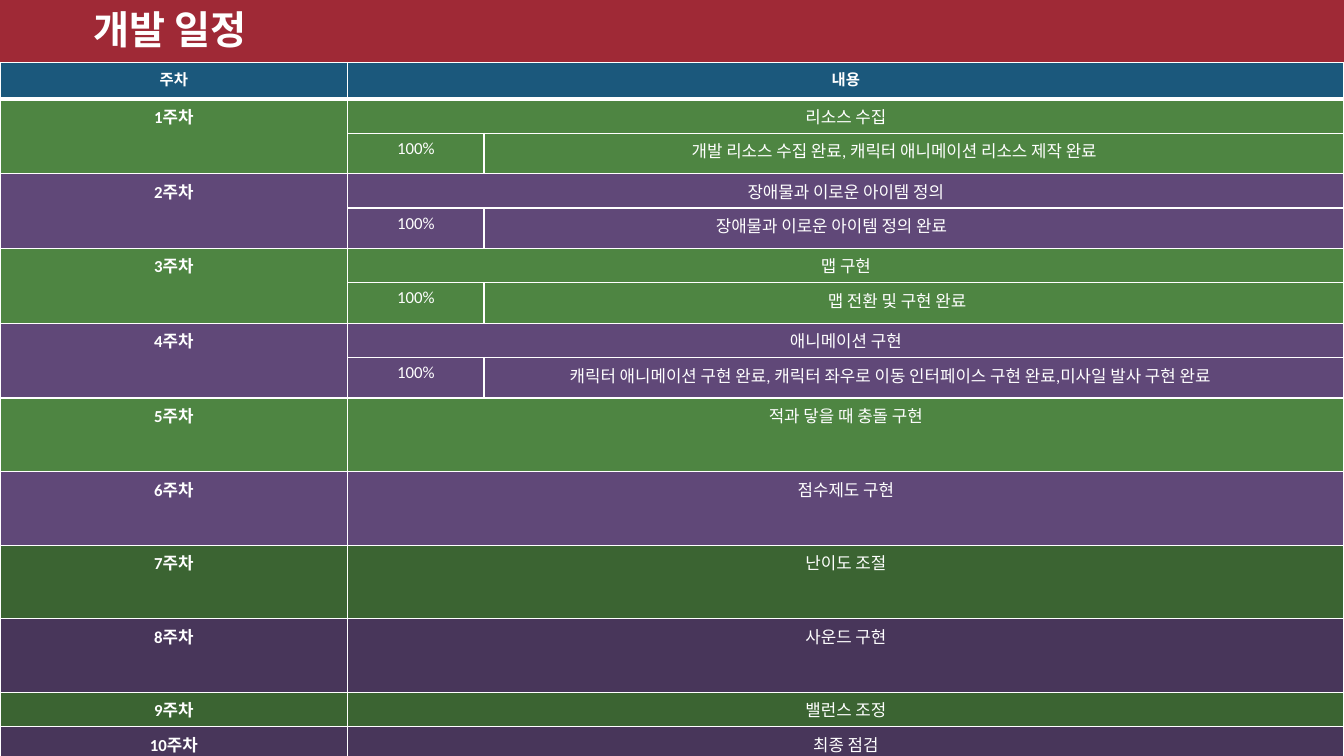
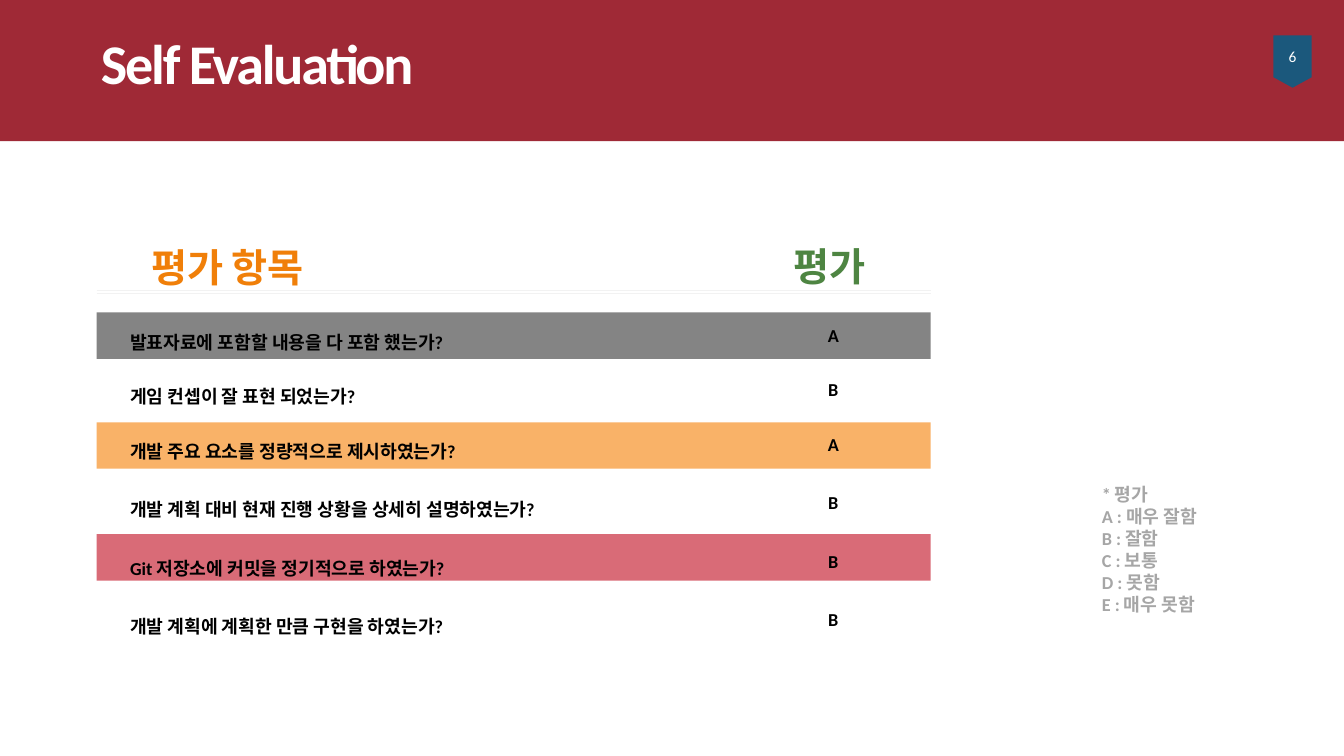
import pptx
import pptx.util
import pptx.dml.color
import pptx.enum.shapes
import pptx.enum.text
import pptx.oxml
import pptx.oxml.ns

Inches, Pt = pptx.util.Inches, pptx.util.Pt
RGBColor = pptx.dml.color.RGBColor
SHAPE = pptx.enum.shapes.MSO_SHAPE
ALIGN = pptx.enum.text.PP_ALIGN
ANCHOR = pptx.enum.text.MSO_ANCHOR
AUTO_SIZE = pptx.enum.text.MSO_AUTO_SIZE

FONT = "Calibri"
WHITE = RGBColor(0xFF, 0xFF, 0xFF)
BLACK = RGBColor(0, 0, 0)
RED = RGBColor(0x9F, 0x29, 0x36)
BLUE = RGBColor(0x1B, 0x58, 0x7C)
GREEN = RGBColor(0x4E, 0x85, 0x42)
PURPLE = RGBColor(0x60, 0x48, 0x78)
DARK_GREEN = RGBColor(0x3B, 0x64, 0x32)
DARK_PURPLE = RGBColor(0x48, 0x36, 0x5A)
ORANGE = RGBColor(0xF0, 0x7F, 0x09)
LIGHT_ORANGE = RGBColor(0xF9, 0xB2, 0x68)
PINK = RGBColor(0xD9, 0x6B, 0x77)
GRAY = RGBColor(0x84, 0x84, 0x84)
LEGEND_GRAY = RGBColor(0xA6, 0xA6, 0xA6)
RULE_GRAY = RGBColor(0xF2, 0xF2, 0xF2)

# Schedule: week, task, row height, colour, finished part (progress, detail, left margin)
HEADINGS = ("주차", "내용")
WEEKS = [
    ("1주차", "리소스 수집", 0.33, GREEN,
     ("100%", "개발 리소스 수집 완료, 캐릭터 애니메이션 리소스 제작 완료", 2.06)),
    ("2주차", "장애물과 이로운 아이템 정의", 0.33, PURPLE,
     ("100%", "장애물과 이로운 아이템 정의 완료", 2.3)),
    ("3주차", "맵 구현", 0.33, GREEN, ("100%", "맵 전환 및 구현 완료", 3.41)),
    ("4주차", "애니메이션 구현", 0.33, PURPLE,
     ("100%", "캐릭터 애니메이션 구현 완료, 캐릭터 좌우로 이동 인터페이스 구현 완료,"
      "미사일 발사 구현 완료", 0.85)),
    ("5주차", "적과 닿을 때 충돌 구현", 0.73, GREEN, None),
    ("6주차", "점수제도 구현", 0.73, PURPLE, None),
    ("7주차", "난이도 조절", 0.73, DARK_GREEN, None),
    ("8주차", "사운드 구현", 0.73, DARK_PURPLE, None),
    ("9주차", "밸런스 조정", 0.31, DARK_GREEN, None),
    ("10주차", "최종 점검", 0.37, DARK_PURPLE, None),
]
COLUMN_WIDTHS = (3.45, 1.35, 8.53)
HEADER_HEIGHT, DETAIL_HEIGHT = 0.36, 0.4

# Evaluation: each entry is a paragraph; lines in one entry are split by line breaks
QUESTIONS = [
    ("발표자료에 포함할 내용을 다 포함 했는가?", "게임 컨셉이 잘 표현 되었는가?",
     "개발 주요 요소를 정량적으로 제시하였는가?"),
    ("개발 계획 대비 현재 진행 상황을 상세히 설명하였는가?",),
    ("Git 저장소에 커밋을 정기적으로 하였는가?",),
    ("개발 계획에 계획한 만큼 구현을 하였는가?",),
]
GRADES = [("A", "B", "A"), ("B",), ("B",), ("B",)]
LEGEND = [("* 평가",), ("A : 매우 잘함",), ("B : 잘함",), ("C : 보통",),
          ("D : 못함",), ("E : 매우 못함",)]
STRIPES = [(3.1, GRAY), (4.19, LIGHT_ORANGE), (5.3, PINK)]
STRIPE_LEFT, STRIPE_WIDTH, STRIPE_HEIGHT = 0.96, 8.27, 0.46
RULE_TOPS = (2.88, 2.91)


def place(shape, left, top, width, height):
    """Move and size a shape, in inches."""
    shape.left, shape.top = Inches(left), Inches(top)
    shape.width, shape.height = Inches(width), Inches(height)


def add_span(para, text, size, color, bold=False):
    """Add one formatted run to a paragraph."""
    span = para.add_run()
    span.text = text
    span.font.name, span.font.size = FONT, Pt(size)
    span.font.bold, span.font.color.rgb = bold, color
    return span


def write_lines(box, entries, size, color, align=ALIGN.LEFT, spacing=None):
    """Write bold paragraphs without bullets, breaking lines inside each."""
    frame = box.text_frame
    frame.word_wrap = True
    frame.auto_size = AUTO_SIZE.SHAPE_TO_FIT_TEXT
    for index, lines in enumerate(entries):
        para = frame.add_paragraph() if index else frame.paragraphs[0]
        para.alignment, para.line_spacing = align, spacing
        properties = para._p.get_or_add_pPr()
        properties.set("marL", "0")
        properties.set("indent", "0")
        pptx.oxml.ns.qn("a:buNone")
        properties.append(pptx.oxml.parse_xml(
            f'<a:buNone {pptx.oxml.ns.nsdecls("a")}/>'))
        for number, line in enumerate(lines):
            if number:
                para.add_line_break()
            add_span(para, line, size, color, True)


def add_block(page, kind, at, color):
    """Add a flat preset shape without outline or shadow."""
    block = page.shapes.add_shape(kind, *map(Inches, at))
    block.shadow.inherit = False
    block.fill.solid()
    block.fill.fore_color.rgb = color
    block.line.fill.background()
    return block


def add_titled_page(deck, layout, band, title, at, size):
    """Add a page with a red band behind its title; return page and title span."""
    page = deck.slides.add_slide(deck.slide_layouts.get_by_name(layout))
    heading = page.shapes.title
    heading._element.addprevious(add_block(page, SHAPE.RECTANGLE, band, RED)._element)
    place(heading, *at)
    heading.text_frame.vertical_anchor = ANCHOR.MIDDLE
    para = heading.text_frame.paragraphs[0]
    para.alignment = ALIGN.LEFT
    return page, add_span(para, title, size, WHITE, True)


def set_borders(cell, top=1, bottom=1):
    """Give a cell white borders; widths in points."""
    properties = cell._tc.get_or_add_tcPr()
    widths = {"lnL": 1, "lnR": 1, "lnT": top, "lnB": bottom}
    for index, (side, width) in enumerate(widths.items()):
        properties.insert(index, pptx.oxml.parse_xml(
            f'<a:{side} {pptx.oxml.ns.nsdecls("a")} w="{Pt(width)}">'
            f'<a:solidFill><a:srgbClr val="{WHITE}"/></a:solidFill></a:{side}>'))


def write_cell(cell, text, size=12, bold=False, align=ALIGN.CENTER):
    """Write one line in a table cell."""
    para = cell.text_frame.paragraphs[0]
    para.alignment = align
    add_span(para, text, size, WHITE, bold)


def add_schedule(page):
    """Add the week table; finished weeks take a second row."""
    heights, colors = [HEADER_HEIGHT], [BLUE]
    for _, _, height, color, done in WEEKS:
        heights += [height, DETAIL_HEIGHT] if done else [height]
        colors += [color, color] if done else [color]
    table = page.shapes.add_table(
        len(heights), len(COLUMN_WIDTHS), 0, Inches(0.62),
        Inches(sum(COLUMN_WIDTHS)), Inches(sum(heights))).table
    for column, width in zip(table.columns, COLUMN_WIDTHS):
        column.width = Inches(width)
    for index, (height, color) in enumerate(zip(heights, colors)):
        table.rows[index].height = Inches(height)
        for cell in table.rows[index].cells:
            cell.fill.solid()
            cell.fill.fore_color.rgb = color
            set_borders(cell, 3 if index == 1 else 1, 3 if index == 0 else 1)

    table.cell(0, 1).merge(table.cell(0, 2))
    for column, heading in enumerate(HEADINGS):
        write_cell(table.cell(0, column), heading, 11, True)
    row = 1
    for week, task, _, _, done in WEEKS:
        table.cell(row, 1).merge(table.cell(row, 2))
        write_cell(table.cell(row, 0), week, bold=True)
        write_cell(table.cell(row, 1), task)
        if done:
            progress, detail, margin = done
            table.cell(row, 0).merge(table.cell(row + 1, 0))
            write_cell(table.cell(row + 1, 1), progress)
            detail_cell = table.cell(row + 1, 2)
            detail_cell.margin_left = Inches(margin)
            write_cell(detail_cell, detail, align=ALIGN.LEFT)
        row += 2 if done else 1


def add_rule(page, top):
    """Add a thin line across the evaluation columns."""
    right = STRIPE_LEFT + STRIPE_WIDTH
    rule = page.shapes.add_connector(
        pptx.enum.shapes.MSO_CONNECTOR.STRAIGHT,
        Inches(STRIPE_LEFT), Inches(top), Inches(right), Inches(top))
    rule.line.color.rgb, rule.line.width = RULE_GRAY, Pt(0.5)
    rule._element.spPr.append(pptx.oxml.parse_xml(
        f'<a:effectLst {pptx.oxml.ns.nsdecls("a")}/>'))


def add_label(page, at, entries, size, color, align, anchor=ANCHOR.TOP):
    """Add a text box with bold paragraphs."""
    box = page.shapes.add_textbox(*map(Inches, at))
    box.text_frame.vertical_anchor = anchor
    write_lines(box, entries, size, color, align)


def build_schedule(deck):
    """Build the development schedule page."""
    page, _ = add_titled_page(deck, "Title Only", (0, -0.04, 13.33, 0.66),
                              "개발 일정", (0.83, -0.11, 9.18, 0.79), 28)
    add_schedule(page)


def build_evaluation(deck):
    """Build the self evaluation page."""
    page, title = add_titled_page(deck, "Two Content", (-0.17, -0.04, 13.69, 1.44),
                                  "Self Evaluation", (0.9, 0.22, 9.18, 0.79), 40)
    title.font._element.set("spc", "-150")
    badge = add_block(page, SHAPE.FLOWCHART_OFFPAGE_CONNECTOR,
                      (12.63, 0.35, 0.38, 0.52), BLUE)
    badge.text_frame.margin_left = badge.text_frame.margin_right = 0
    badge.text_frame.vertical_anchor = ANCHOR.MIDDLE
    para = badge.text_frame.paragraphs[0]
    para.alignment = ALIGN.CENTER
    add_span(para, "6", 11, WHITE)

    questions, grades = page.placeholders[1], page.placeholders[2]
    for top, color in STRIPES:
        stripe = add_block(page, SHAPE.RECTANGLE,
                           (STRIPE_LEFT, top, STRIPE_WIDTH, STRIPE_HEIGHT), color)
        questions._element.addprevious(stripe._element)
    for top in RULE_TOPS:
        add_rule(page, top)
    place(questions, 1.19, 2.91, 5.95, 3.51)
    write_lines(questions, QUESTIONS, 13, BLACK, spacing=2.5)
    place(grades, 7.31, 2.84, 1.91, 3.51)
    write_lines(grades, GRADES, 13, BLACK, ALIGN.CENTER, 2.5)
    add_label(page, (1.4, 2.36, 5.73, 0.57), [("평가 항목",)], 28, ORANGE,
              ALIGN.LEFT, ANCHOR.MIDDLE)
    add_label(page, (7.31, 2.35, 1.84, 0.57), [("평가",)], 28, GREEN,
              ALIGN.CENTER, ANCHOR.MIDDLE)
    add_label(page, (10.83, 4.75, 2.61, 1.63), LEGEND, 13, LEGEND_GRAY, ALIGN.JUSTIFY)


deck = pptx.Presentation()
deck.slide_width, deck.slide_height = Inches(13.33), Inches(7.5)
build_schedule(deck)
build_evaluation(deck)
deck.save("out.pptx")
